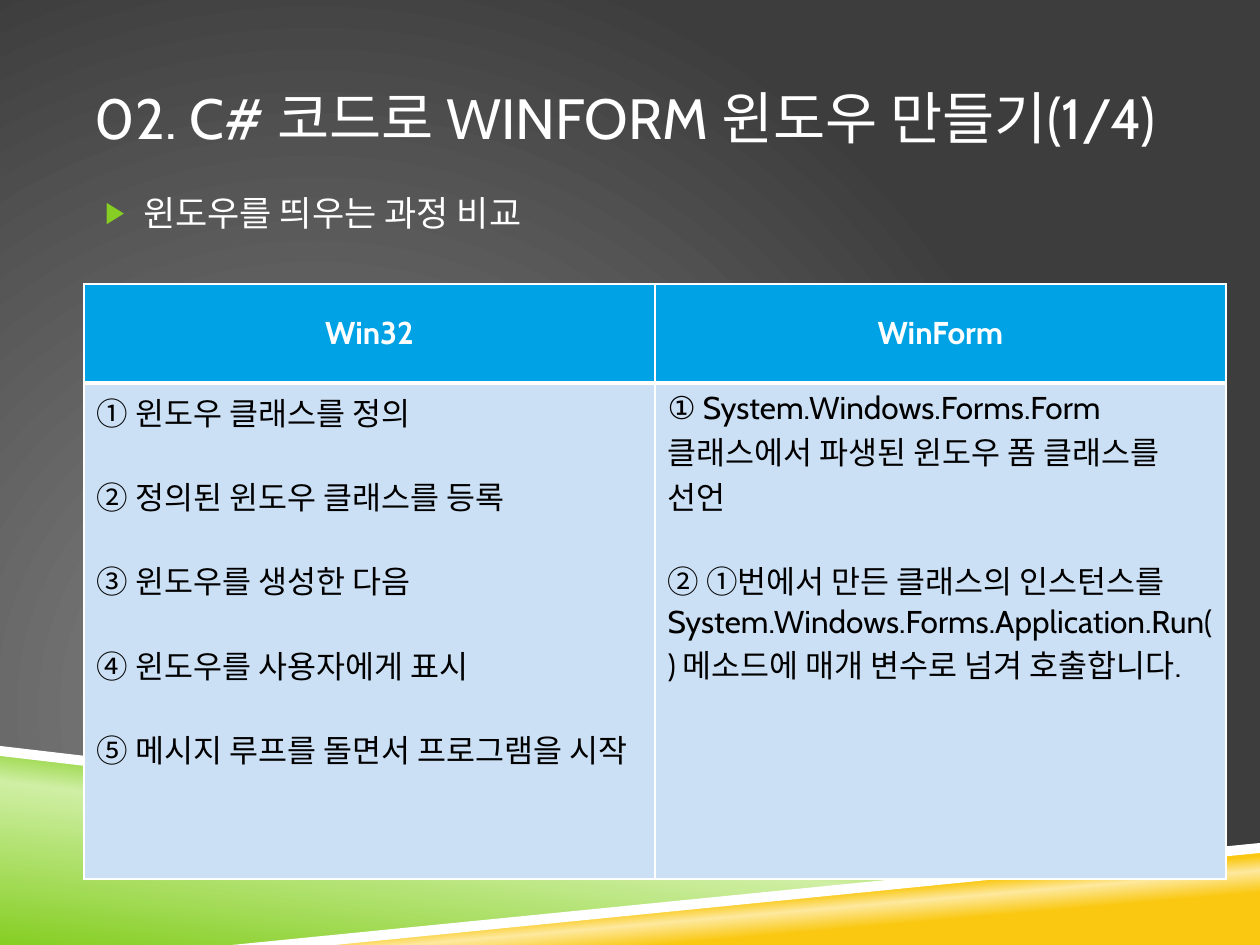
from lxml.etree import SubElement
from pptx import Presentation
from pptx.dml.color import RGBColor
from pptx.enum.text import MSO_ANCHOR as Anchor, MSO_AUTO_SIZE as AutoSize, PP_ALIGN as Align
from pptx.oxml.ns import qn
from pptx.util import Pt

EMU_PER_PX = 914400 / 126
WHITE = RGBColor(0xFF, 0xFF, 0xFF)
BLACK = RGBColor(0x00, 0x00, 0x00)
LIGHT_GRAY = RGBColor(0x87, 0x87, 0x87)
DARK_GRAY = RGBColor(0x3D, 0x3D, 0x3D)
GREEN = RGBColor(0x86, 0xCE, 0x24)
PALE_GREEN = RGBColor(0xCF, 0xEF, 0xA4)
YELLOW = RGBColor(0xFA, 0xC8, 0x10)
PALE_YELLOW = RGBColor(0xFD, 0xE9, 0x9F)
BLUE = RGBColor(0x00, 0xA2, 0xE6)
PALE_BLUE = RGBColor(0xCC, 0xE0, 0xF5)

HEADERS = ["Win32", "WinForm"]
STEPS = [
    ["① 윈도우 클래스를 정의",
     "② 정의된 윈도우 클래스를 등록",
     "③ 윈도우를 생성한 다음",
     "④ 윈도우를 사용자에게 표시",
     "⑤ 메시지 루프를 돌면서 프로그램을 시작"],
    ["① System.Windows.Forms.Form 클래스에서 파생된 윈도우 폼 클래스를 선언",
     "② ①번에서 만든 클래스의 인스턴스를System.Windows.Forms.Application.Run() "
     "메소드에 매개 변수로 넘겨 호출합니다."],
]


def px(length):
    return round(length * EMU_PER_PX)


def add_element(parent, tag, **attributes):
    element = SubElement(parent, qn(tag))
    for name, value in attributes.items():
        element.set(name, str(value))
    return element


def set_gradient(fill, owner, stops, angle=None):
    """Fill with (percent, colour) stops; without an angle the gradient is circular."""
    fill.gradient()
    gradient = owner.find(".//" + qn("a:gradFill"))
    for child in list(gradient):
        gradient.remove(child)
    stop_list = add_element(gradient, "a:gsLst")
    for percent, color in stops:
        stop = add_element(stop_list, "a:gs", pos=percent * 1000)
        add_element(stop, "a:srgbClr", val=color)
    if angle is None:
        circle = add_element(gradient, "a:path", path="circle")
        add_element(circle, "a:fillToRect", l=50000, t=100000, r=100000, b=50000)
    else:
        add_element(gradient, "a:lin", ang=angle * 60000, scaled=0)


class SlideBuilder:
    font_name = "Cabin"

    def __init__(self, slide):
        self.slide = slide

    def style(self, para, size, color, bold=False, align=Align.LEFT):
        para.alignment = align
        for span in para.runs:
            span.font.name = self.font_name
            span.font.size = Pt(size)
            span.font.bold = bold
            span.font.color.rgb = color

    def background(self, stops):
        background = self.slide.background
        set_gradient(background.fill, self.slide.element, stops)

    def polygon(self, points, color=None, stops=None, angle=0):
        builder = self.slide.shapes.build_freeform(*points[0], scale=EMU_PER_PX)
        builder.add_line_segments(points[1:], close=True)
        shape = builder.convert_to_shape()
        shape.shadow.inherit = False
        shape.line.fill.background()
        if stops:
            set_gradient(shape.fill, shape.element.spPr, stops, angle)
        else:
            shape.fill.solid()
            shape.fill.fore_color.rgb = color

    def placeholder(self, index, text, box, size, anchor):
        """Place a template placeholder in front of the shapes drawn so far."""
        shape = self.slide.placeholders[index]
        self.slide.shapes.element.append(shape.element)
        shape.left, shape.top, shape.width, shape.height = map(px, box)
        frame = shape.text_frame
        frame.text = text
        frame.word_wrap = True
        frame.auto_size = AutoSize.NONE
        frame.vertical_anchor = anchor
        frame.margin_left = frame.margin_right = 0
        para = frame.paragraphs[0]
        para.space_before = Pt(0)
        self.style(para, size, WHITE)
        return para

    def title(self, text, box):
        self.placeholder(0, text, box, 32.4, Anchor.MIDDLE)

    def bullet(self, text, box):
        para = self.placeholder(1, text, box, 20, Anchor.TOP)
        properties = para._p.get_or_add_pPr()
        properties.set("marL", str(px(48)))
        properties.set("indent", str(px(-38)))
        bullet_color = add_element(properties, "a:buClr")
        add_element(bullet_color, "a:srgbClr", val=GREEN)
        add_element(properties, "a:buSzPct", val=85000)
        add_element(properties, "a:buChar", char="▶")

    def cell(self, cell, fill, top, bottom):
        """Set the fill and the white borders, with top and bottom widths in points."""
        properties = cell._tc.get_or_add_tcPr()
        for side, width in (("L", 1), ("R", 1), ("T", top), ("B", bottom)):
            line = add_element(properties, f"a:ln{side}", w=Pt(width))
            add_element(add_element(line, "a:solidFill"), "a:srgbClr", val=WHITE)
        cell.fill.solid()
        cell.fill.fore_color.rgb = fill

    def table(self, left, top, column_width, row_heights):
        size = (column_width * len(HEADERS), sum(row_heights))
        table = self.slide.shapes.add_table(
            len(row_heights), len(HEADERS), *map(px, (left, top, *size))).table
        for row, height in zip(table.rows, row_heights):
            row.height = px(height)
        for column, (header, steps) in enumerate(zip(HEADERS, STEPS)):
            table.columns[column].width = px(column_width)
            head, body = table.cell(0, column), table.cell(1, column)
            self.cell(head, BLUE, 1, 3)
            head.vertical_anchor = Anchor.MIDDLE
            head.text_frame.text = header
            self.style(head.text_frame.paragraphs[0], 18, WHITE, True, Align.CENTER)
            self.cell(body, PALE_BLUE, 3, 1)
            body.text_frame.text = "\n".join(steps)
            for number, para in enumerate(body.text_frame.paragraphs):
                para.space_before = Pt(22 if number else 0)
                self.style(para, 18, BLACK)


def main():
    deck = Presentation()
    deck.slide_width, deck.slide_height = px(1260), px(945)
    page = SlideBuilder(deck.slides.add_slide(deck.slide_layouts[1]))
    page.background([(0, LIGHT_GRAY), (100, DARK_GRAY)])
    page.polygon([(0, 752), (998, 872), (252, 945), (0, 945)],
                 stops=[(0, GREEN), (52, PALE_GREEN), (66, GREEN)], angle=277)
    page.polygon([(249, 945), (1260, 847), (1260, 945)],
                 stops=[(28, YELLOW), (40, PALE_YELLOW), (48, YELLOW)], angle=265)
    page.polygon([(0, 746), (0, 756), (995, 873), (1048, 869)], WHITE)
    page.polygon([(1260, 843), (232, 945), (335, 945), (1260, 853)], WHITE)
    page.title("02. C# 코드로 WINFORM 윈도우 만들기(1/4)", (95, 38, 1071, 158))
    page.bullet("윈도우를 띄우는 과정 비교", (95, 185, 1071, 559))
    page.table(84, 284, 571, [99, 496])
    deck.save("out.pptx")


if __name__ == "__main__":
    main()
